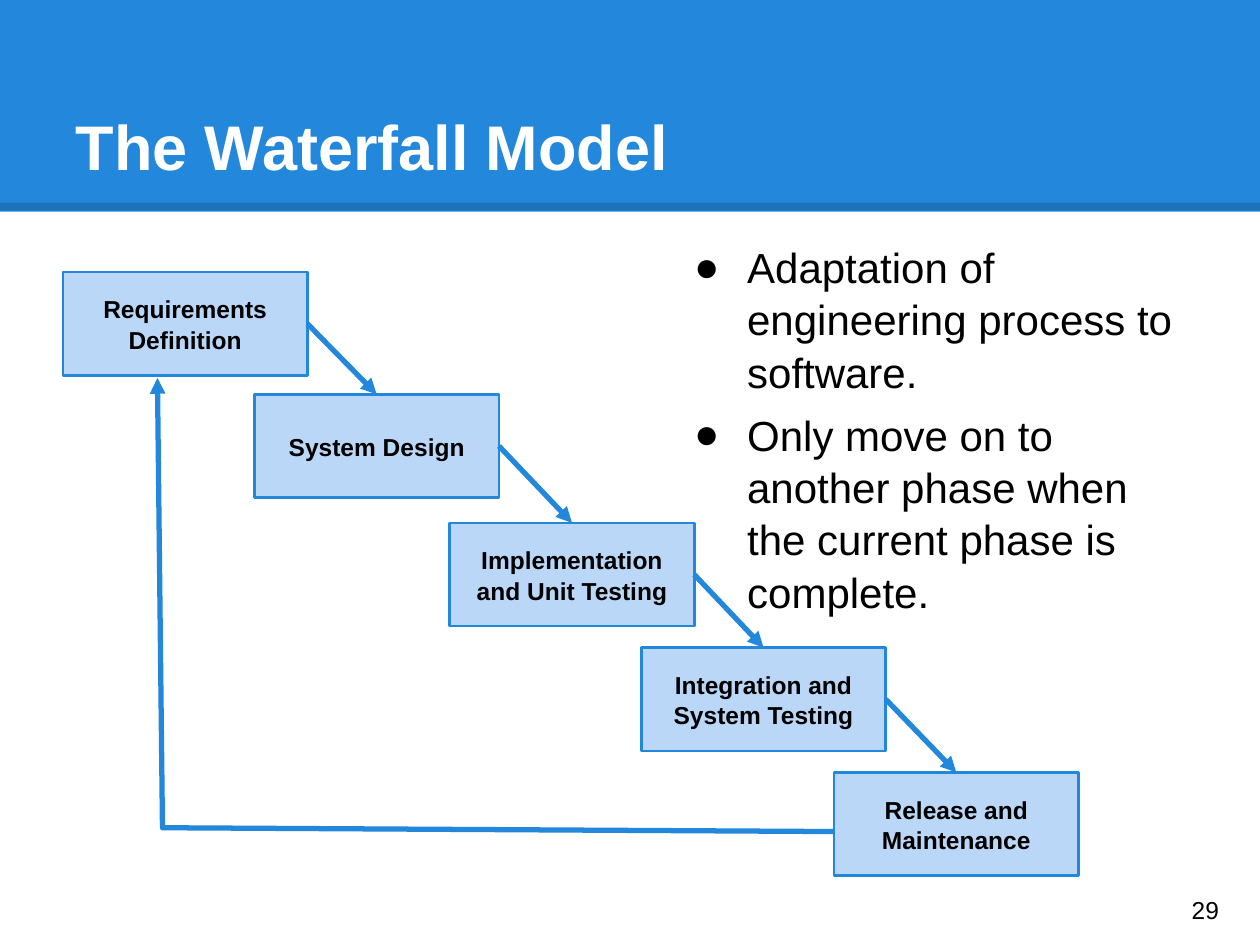
"""Build the waterfall model slide."""
from itertools import pairwise
from typing import NamedTuple

from lxml import etree
from pptx import Presentation
from pptx.dml.color import RGBColor
from pptx.enum.shapes import MSO_CONNECTOR, MSO_SHAPE
from pptx.enum.text import MSO_ANCHOR, MSO_AUTO_SIZE, PP_ALIGN
from pptx.oxml.ns import qn
from pptx.util import Emu, Inches, Pt

STRAIGHT = MSO_CONNECTOR.STRAIGHT
RECTANGLE = MSO_SHAPE.RECTANGLE
TOP, MIDDLE, BOTTOM = MSO_ANCHOR.TOP, MSO_ANCHOR.MIDDLE, MSO_ANCHOR.BOTTOM
LEFT, CENTER = PP_ALIGN.LEFT, PP_ALIGN.CENTER
NO_AUTOFIT = MSO_AUTO_SIZE.NONE

FONT = "Arial"
BLUE, PALE_BLUE, BLACK, WHITE = "2388DB", "BBD7F8", "000000", "FFFFFF"
COLUMNS, ROWS = 10, 7.5
CELL = Inches(1)
PHASE_WIDTH, PHASE_HEIGHT = 1.94, 0.82
TOP_SITE, RIGHT_SITE = 0, 3
LINE_SPACING = 1.04


class Area(NamedTuple):
    """A rectangle in grid columns and rows."""

    column: float
    row: float
    columns: float
    rows: float


class Phase(NamedTuple):
    """One step of the waterfall, placed by its top left corner."""

    label: str
    column: float
    row: float


class TextStyle(NamedTuple):
    """The look of a block of text."""

    size: float
    colour: str = BLACK
    bold: bool = False
    alignment: PP_ALIGN = LEFT
    anchor: MSO_ANCHOR = MIDDLE


PHASES = [
    Phase("Requirements Definition", 0.5, 2.16),
    Phase("System Design", 2.02, 3.13),
    Phase("Implementation and Unit Testing", 3.57, 4.15),
    Phase("Integration and System Testing", 5.09, 5.14),
    Phase("Release and Maintenance", 6.62, 6.13),
]
BULLETS = [
    "Adaptation of engineering process to software.",
    "Only move on to another phase when the current phase is complete.",
]
FEEDBACK_POINTS = [(6.62, 6.6), (1.29, 6.57), (1.25, 3)]
TITLE_STYLE = TextStyle(36, WHITE, bold=True, anchor=BOTTOM)
BODY_STYLE = TextStyle(24, anchor=TOP)
PHASE_STYLE = TextStyle(14, bold=True, alignment=CENTER)
NUMBER_STYLE = TextStyle(14)


def grid(cells: float) -> Emu:
    """Turn a count of grid cells into a length."""
    return Emu(round(cells * CELL))


def colour(value: str) -> RGBColor:
    """Turn a hex string into a colour."""
    return RGBColor.from_string(value)


def place(shape, area: Area) -> None:
    """Move and size a shape to an area."""
    shape.left, shape.top, shape.width, shape.height = map(grid, area)


def write(shape, text: str, style: TextStyle) -> None:
    """Fill a shape with styled text."""
    frame = shape.text_frame
    frame.text = text
    frame.word_wrap = True
    frame.auto_size = NO_AUTOFIT
    frame.vertical_anchor = style.anchor
    frame.margin_left = frame.margin_right = grid(0.1)
    frame.margin_top = frame.margin_bottom = grid(0.1)
    for paragraph in frame.paragraphs:
        paragraph.alignment = style.alignment
        paragraph.line_spacing = LINE_SPACING
        paragraph.space_before = Pt(0)
        for run in paragraph.runs:
            run.font.name = FONT
            run.font.size = Pt(style.size)
            run.font.bold = style.bold
            run.font.color.rgb = colour(style.colour)


def add_bullet(paragraph) -> None:
    """Give a paragraph a hanging black bullet."""
    properties = paragraph._p.get_or_add_pPr()
    properties.set("marL", str(grid(0.5)))
    properties.set("indent", str(grid(-0.42)))
    bullet_colour = etree.SubElement(properties, qn("a:buClr"))
    etree.SubElement(bullet_colour, qn("a:srgbClr"), val=BLACK)
    etree.SubElement(properties, qn("a:buFont"), typeface=FONT)
    etree.SubElement(properties, qn("a:buChar"), char="●")


def style_line(shape, line_colour: str, width: float, arrow: bool = False) -> None:
    """Set a line's colour and width, and its arrowhead at the end."""
    shape.line.color.rgb = colour(line_colour)
    shape.line.width = Pt(width)
    if arrow:
        etree.SubElement(shape.line._get_or_add_ln(), qn("a:tailEnd"), type="triangle")


def add_box(slide, area: Area, fill: str):
    """Add a plain filled rectangle."""
    shape = slide.shapes.add_shape(RECTANGLE, *map(grid, area))
    shape.shadow.inherit = False
    shape.fill.solid()
    shape.fill.fore_color.rgb = colour(fill)
    shape.line.fill.background()
    return shape


def add_line(slide, start: tuple[float, float], end: tuple[float, float]):
    """Add a straight connector without a shadow."""
    line = slide.shapes.add_connector(STRAIGHT, *map(grid, start + end))
    etree.SubElement(line._element.spPr, qn("a:effectLst"))
    return line


def add_header(slide) -> None:
    """Add the blue band and its translucent lower edge behind the title."""
    band = add_box(slide, Area(0, 0, COLUMNS, 1.68), BLUE)
    edge = add_line(slide, (0, 1.64), (COLUMNS, 1.64))
    style_line(edge, BLACK, 4.5)
    shade = edge.line._get_or_add_ln().find(".//" + qn("a:srgbClr"))
    etree.SubElement(shade, qn("a:alpha"), val="15000")
    for position, shape in enumerate((band, edge), start=2):
        slide.shapes._spTree.insert(position, shape._element)


def add_phase(slide, phase: Phase):
    """Add the labelled box of one phase."""
    area = Area(phase.column, phase.row, PHASE_WIDTH, PHASE_HEIGHT)
    box = add_box(slide, area, PALE_BLUE)
    style_line(box, BLUE, 1.5)
    write(box, phase.label, PHASE_STYLE)
    return box


def add_phase_arrow(slide, source, target) -> None:
    """Link the right side of one phase to the top of the next."""
    arrow = add_line(slide, (0, 0), (1, 1))
    arrow.begin_connect(source, RIGHT_SITE)
    arrow.end_connect(target, TOP_SITE)
    style_line(arrow, BLUE, 3, arrow=True)


def add_feedback(slide) -> None:
    """Add the arrow from the last phase back to the first."""
    start, *others = [(grid(x), grid(y)) for x, y in FEEDBACK_POINTS]
    builder = slide.shapes.build_freeform(*start)
    builder.add_line_segments(others, close=False)
    arrow = builder.convert_to_shape()
    arrow.shadow.inherit = False
    arrow.fill.background()
    style_line(arrow, BLUE, 3, arrow=True)


def main() -> None:
    """Create the slide and save it."""
    presentation = Presentation()
    presentation.slide_width, presentation.slide_height = grid(COLUMNS), grid(ROWS)
    slide = presentation.slides.add_slide(presentation.slide_layouts[1])
    add_header(slide)

    title, body = slide.placeholders
    place(title, Area(0.5, 0.3, 9, 1.25))
    write(title, "The Waterfall Model", TITLE_STYLE)
    place(body, Area(5.33, 1.8, 4.17, 5.38))
    write(body, "\n".join(BULLETS), BODY_STYLE)
    for paragraph in body.text_frame.paragraphs:
        add_bullet(paragraph)
    body.text_frame.paragraphs[1].space_before = Pt(6)

    boxes = [add_phase(slide, phase) for phase in PHASES]
    for source, target in pairwise(boxes):
        add_phase_arrow(slide, source, target)
    add_feedback(slide)

    number = slide.shapes.add_textbox(*map(grid, Area(9.36, 6.93, 0.6, 0.57)))
    write(number, "29", NUMBER_STYLE)
    presentation.save("out.pptx")


if __name__ == "__main__":
    main()
